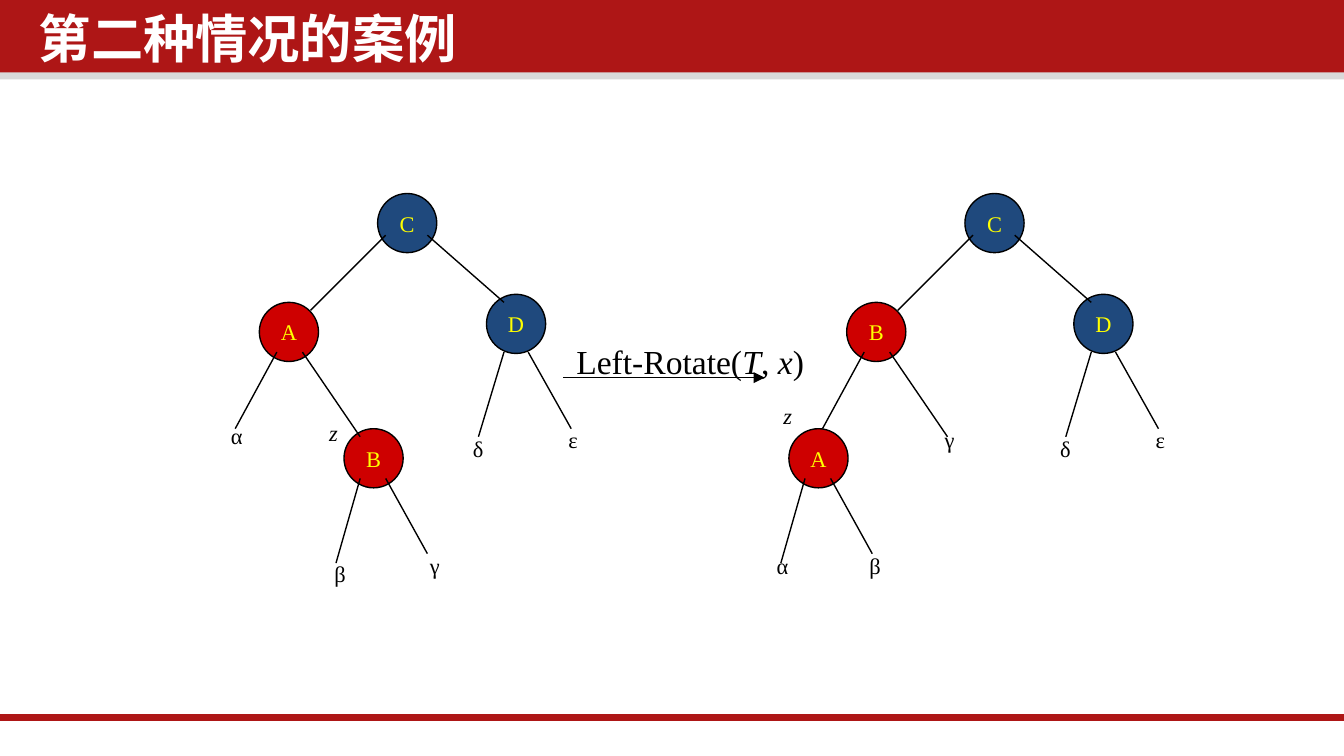
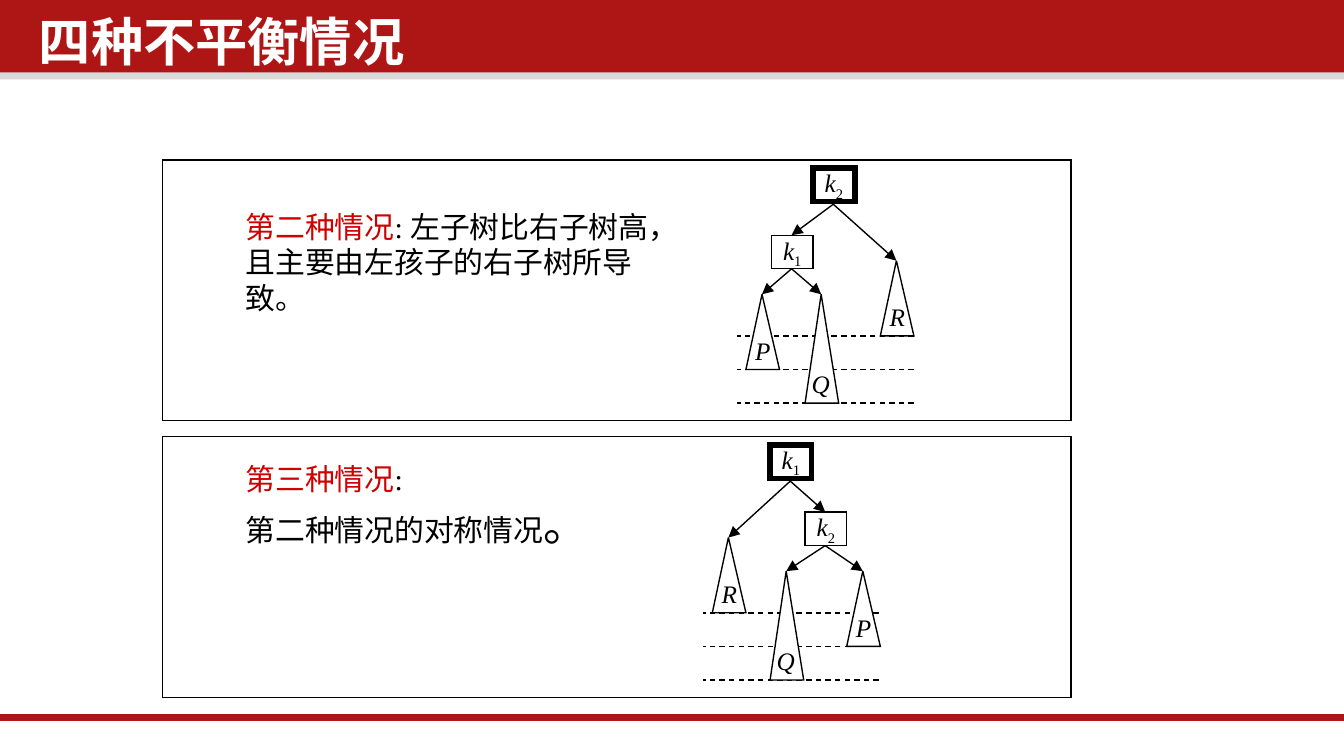
from pptx import Presentation
from pptx.dml.color import RGBColor
from pptx.enum.dml import MSO_LINE as Dash
from pptx.enum.shapes import MSO_CONNECTOR as Link, MSO_SHAPE as Form
from pptx.enum.text import MSO_ANCHOR as Anchor, MSO_AUTO_SIZE as Fit, PP_ALIGN as Align
from pptx.oxml.ns import qn
from pptx.util import Emu, Pt
from lxml import etree

PX = 9144
RED, GRAY, WHITE, BLACK = "AE1616", "D9D9D9", "FFFFFF", "000000"
CRIMSON, NAVY, YELLOW = "CE0000", "1F497D", "FFFF00"
SERIF, SANS = "Times New Roman", "Noto Sans CJK SC"
hue = RGBColor.from_string


def paint(shape, fill, edge=BLACK, wide=0.75):
    shape.shadow.inherit = False
    if fill:
        shape.fill.solid()
        shape.fill.fore_color.rgb = hue(fill)
    else:
        shape.fill.background()
    if edge:
        shape.line.color.rgb = hue(edge)
        shape.line.width = Pt(wide)
        border = shape.element.spPr.find(qn("a:ln"))
        etree.SubElement(border, qn("a:miter")).set("lim", "800000")
    else:
        shape.line.fill.background()
    return shape


def write(shape, runs, align=Align.LEFT, face=SERIF):
    frame = shape.text_frame
    frame.word_wrap = False
    frame.vertical_anchor = Anchor.MIDDLE
    para = frame.paragraphs[0]
    para.alignment = align
    for text, size, color, style in runs:
        if text == "\n":
            para.add_line_break()
            continue
        run = para.add_run()
        run.text = text
        font = run.font
        font.name, font.size = face, Pt(size)
        font.color.rgb = hue(color)
        font.bold, font.italic = style == "bold", style == "italic"
        props = run._r.get_or_add_rPr()
        if face == SANS:
            etree.SubElement(props, qn("a:ea")).set("typeface", face)
        if style == "sub":
            props.set("baseline", "-25000")
    return frame


deck = Presentation()
deck.slide_width, deck.slide_height = Emu(1000 * PX), Emu(1125 * PX // 2)
plain = deck.slide_layouts[5]
tree = deck.slide_master.shapes.element

slides = []
for title, top in [("第二种情况的案例", 6), ("四种不平衡情况", 8)]:
    slide = deck.slides.add_slide(plain)
    head = slide.shapes.title
    head.left, head.top, head.width, head.height = [Emu(n * PX) for n in (22, top, 764, 59)]
    frame = write(head, [(title, 28, WHITE, "bold")], face=SANS)
    frame.word_wrap, frame.auto_size = True, Fit.NONE
    frame.vertical_anchor = Anchor.TOP
    frame.margin_left = frame.margin_right = Emu(7 * PX)
    frame.margin_top = frame.margin_bottom = Emu(4 * PX)
    frame.paragraphs[0].line_spacing = 0.9
    frame.paragraphs[0].space_before = Pt(7.5)
    slides.append(slide.shapes)
case, four = slides

base = []
for top, high, color in [(50, 9, GRAY), (0, 54, RED)]:
    band = case.add_shape(Form.RECTANGLE, 0, top * PX, 1000 * PX, high * PX)
    base.append(paint(band, color, None).element)

wires = [(case, 0, 534, 1000, 534, "bar"), (case, 419, 281, 569, 281, "arrow")]
labels = [(case, 419, 249, 191, 40, [
    ("Left-Rotate(", 18, BLACK, ""), ("T", 18, BLACK, "italic"), (", ", 18, BLACK, ""),
    ("x", 18, BLACK, "italic"), (")", 18, BLACK, "")])]

edges = [(287, 175, 231, 231), (318, 175, 375, 225), (206, 262, 175, 319),
         (225, 262, 268, 325), (393, 262, 425, 319), (375, 262, 356, 325)]
trees = [
    (0, "A", "B", 256, [("α", 162, 309), ("β", 239, 412), ("z", 235, 307), ("γ", 310, 406)]),
    (437, "B", "A", 587, [("α", 568, 406), ("β", 637, 406), ("z", 573, 294), ("γ", 693, 312)]),
]
for dx, mid, low, left, marks in trees:
    nodes = [("C", 281 + dx, 144, NAVY), (mid, 193 + dx, 225, CRIMSON),
             ("D", 362 + dx, 219, NAVY), (low, left, 319, CRIMSON)]
    for name, x, y, color in nodes:
        node = case.add_shape(Form.OVAL, x * PX, y * PX, 44 * PX, 44 * PX)
        write(paint(node, color), [(name, 12, YELLOW, "")], Align.CENTER)
    for x, y, u, v in edges:
        wires.append((case, x + dx, y, u + dx, v, ""))
    wires += [(case, left + 31, 356, left + 62, 412, ""),
              (case, left + 12, 356, left - 6, 419, "")]
    for mark, x, y in marks + [("δ", 342 + dx, 319), ("ε", 413 + dx, 312)]:
        style = "italic" if mark == "z" else ""
        labels.append((case, x, y, 28, 30, [(mark, 12, BLACK, style)]))

notes = [
    (150, 327, 91, [("第二种情况", 16, CRIMSON, ""),
                    (": 左子树比右子树高，且主要由左孩子的右子树所导致。", 16, BLACK, "")]),
    (338, 334, 77, [("第三种情况", 16, CRIMSON, ""), (":", 16, BLACK, ""), ("\n", 16, BLACK, ""),
                    ("第二种情况的对称情况", 16, BLACK, ""), ("。", 24, BLACK, "")]),
]
for top, wide, high, runs in notes:
    note = four.add_textbox(173 * PX, top * PX, wide * PX, high * PX)
    frame = write(note, runs)
    frame.word_wrap, frame.auto_size = True, Fit.SHAPE_TO_FIT_TEXT
    frame.vertical_anchor = Anchor.TOP
    frame.paragraphs[0].space_before = Pt(8)

cones = []
plans = [(0, "21", 548, 680, 620, 589, 567, 611, 667),
         (206, "12", 523, 654, 588, 614, 642, 585, 542)]
for dy, keys, start, end, root, kid, p, q, r in plans:
    paint(four.add_shape(Form.RECTANGLE, 121 * PX, (119 + dy) * PX, 676 * PX, 194 * PX), None)
    for key, x, y, wide in [(keys[0], root, 125, 3), (keys[1], kid, 175, 0.75)]:
        box = four.add_shape(Form.RECTANGLE, (x - 15) * PX, (y + dy) * PX, 31 * PX, 25 * PX)
        write(paint(box, None, wide=wide),
              [("k", 13.5, BLACK, "italic"), (key, 13.5, BLACK, "sub")], Align.CENTER)
    for y in (300, 275, 250):
        wires.append((four, end, y + dy, start, y + dy, "dash"))
    for x, y, u, v in [(kid, 200, q, 219), (kid, 200, p, 219),
                       (root, 152, kid, 175), (root, 152, r, 194)]:
        wires.append((four, x, y + dy, u, v + dy, "arrow"))
    for name, x, top, foot, wide in [("P", p, 219, 275, 31), ("Q", q, 219, 300, 34),
                                     ("R", r, 194, 250, 31)]:
        cones.append((x, top + dy, foot + dy))
        labels.append((four, x - wide // 2, foot - 31 + dy, wide, 33,
                       [(name, 13.5, BLACK, "italic")]))

for shapes, x, y, u, v, kind in wires:
    wire = shapes.add_connector(Link.STRAIGHT, x * PX, y * PX, u * PX, v * PX)
    wire.line.color.rgb = hue(RED if kind == "bar" else BLACK)
    wire.line.width = Pt(4 if kind == "bar" else 0.75)
    if kind == "dash":
        wire.line.dash_style = Dash.DASH
    props = wire.element.spPr
    if kind == "arrow":
        etree.SubElement(props.find(qn("a:ln")), qn("a:tailEnd")).set("type", "triangle")
    etree.SubElement(props, qn("a:effectLst"))
    if kind == "bar":
        base.append(wire.element)

for x, top, foot in cones:
    pen = four.build_freeform(x - 12, foot, scale=PX)
    pen.add_line_segments([(x + 13, foot), (x, top)], close=True)
    paint(pen.convert_to_shape(), WHITE)

for shapes, x, y, wide, high, runs in labels:
    label = shapes.add_textbox(x * PX, y * PX, wide * PX, high * PX)
    write(label, runs).auto_size = Fit.SHAPE_TO_FIT_TEXT

for n, item in enumerate(base):
    item[0][0].set("id", str(20 + n))
    tree.insert(2 + n, item)

deck.save("out.pptx")
